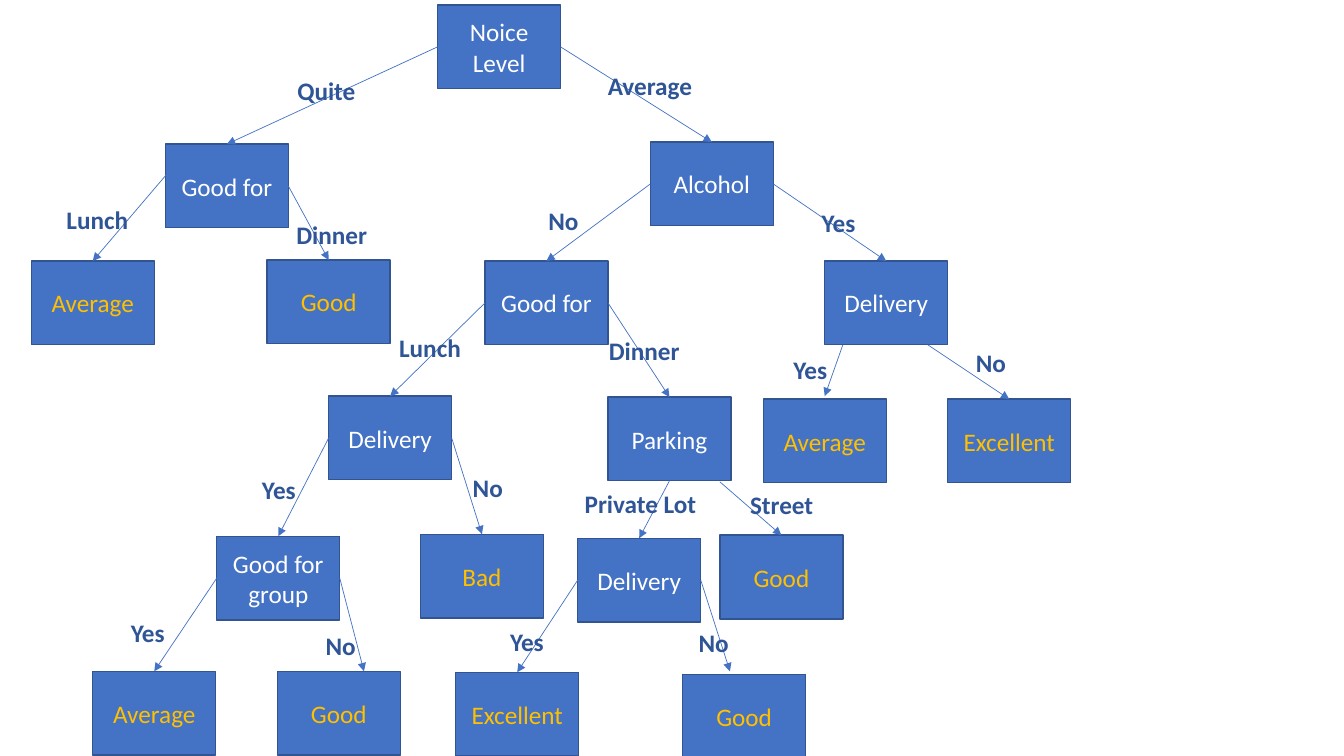
from dataclasses import dataclass
from typing import Optional

from lxml import etree
from pptx import Presentation
from pptx.dml.color import RGBColor
from pptx.enum.shapes import MSO_CONNECTOR, MSO_SHAPE
from pptx.enum.text import MSO_ANCHOR, MSO_AUTO_SIZE, PP_ALIGN
from pptx.oxml.ns import qn
from pptx.util import Inches, Pt

RECTANGLE = MSO_SHAPE.RECTANGLE
STRAIGHT = MSO_CONNECTOR.STRAIGHT
MIDDLE = MSO_ANCHOR.MIDDLE
CENTER = PP_ALIGN.CENTER
FIT_SHAPE = MSO_AUTO_SIZE.SHAPE_TO_FIT_TEXT

COLORS = {
    "box": "4472C4",
    "border": "325491",
    "question": "FFFFFF",
    "rating": "FFC000",
    "label": "2F5597",
}
FONT, FONT_SIZE = "Calibri", 18
BOX_WIDTH, BOX_HEIGHT = 1.22, 0.83
LABEL_HEIGHT = 0.4

# Connection sites of a rectangle
TOP, LEFT, BOTTOM, RIGHT = range(4)

# Key: (text, left, top)
NODES = {
    "noise": ("Noice Level", 4.34, 0.05),
    "quiet meal": ("Good for", 1.64, 1.43),
    "alcohol": ("Alcohol", 6.45, 1.41),
    "quiet lunch": ("Average", 0.31, 2.59),
    "quiet dinner": ("Good", 2.65, 2.58),
    "dry meal": ("Good for", 4.81, 2.59),
    "bar delivery": ("Delivery", 8.18, 2.59),
    "lunch delivery": ("Delivery", 3.26, 3.93),
    "parking": ("Parking", 6.03, 3.94),
    "bar delivered": ("Average", 7.57, 3.96),
    "bar on site": ("Excellent", 9.4, 3.96),
    "group": ("Good for group", 2.15, 5.32),
    "lunch on site": ("Bad", 4.17, 5.3),
    "lot delivery": ("Delivery", 5.73, 5.34),
    "street": ("Good", 7.14, 5.31),
    "lot delivered": ("Excellent", 4.52, 6.67),
    "lot on site": ("Good", 6.77, 6.69),
    "for group": ("Average", 0.92, 6.66),
    "not for group": ("Good", 2.75, 6.66),
}


@dataclass
class Branch:
    parent: str
    child: str
    site: int
    label: str
    left: float
    top: float
    width: float = 1.02
    start: Optional[tuple] = None  # free point instead of the parent's site
    end: Optional[tuple] = None  # free point instead of the child's top


BRANCHES = [
    Branch("noise", "quiet meal", LEFT, "Quite", 2.85, 0.7),
    Branch("noise", "alcohol", RIGHT, "Average", 5.93, 0.65, width=1.13),
    Branch("quiet meal", "quiet lunch", LEFT, "Lunch", 0.56, 1.98, start=(1.67, 1.71)),
    Branch("quiet meal", "quiet dinner", RIGHT, "Dinner", 2.84, 2.13),
    Branch("alcohol", "dry meal", LEFT, "No", 5.34, 1.99),
    Branch("alcohol", "bar delivery", RIGHT, "Yes", 8.05, 2.01),
    Branch("bar delivery", "bar on site", BOTTOM, "No", 9.58, 3.4, start=(9.2, 3.42)),
    Branch("bar delivery", "bar delivered", BOTTOM, "Yes", 7.77, 3.47,
           start=(8.36, 3.42), end=(8.18, 3.93)),
    Branch("dry meal", "lunch delivery", LEFT, "Lunch", 3.86, 3.25),
    Branch("dry meal", "parking", RIGHT, "Dinner", 5.94, 3.28),
    Branch("lunch delivery", "group", LEFT, "Yes", 2.5, 4.66),
    Branch("lunch delivery", "lunch on site", RIGHT, "No", 4.59, 4.64),
    Branch("parking", "street", BOTTOM, "Street", 7.34, 4.81, start=(7.14, 4.78)),
    Branch("parking", "lot delivery", BOTTOM, "Private Lot", 5.7, 4.8, width=1.32),
    Branch("lot delivery", "lot on site", RIGHT, "No", 6.83, 6.17, end=(7.24, 6.66)),
    Branch("lot delivery", "lot delivered", LEFT, "Yes", 4.96, 6.16),
    Branch("group", "for group", LEFT, "Yes", 1.2, 6.08),
    Branch("group", "not for group", RIGHT, "No", 3.13, 6.2, end=(3.61, 6.66)),
]


def color(name):
    return RGBColor.from_string(COLORS[name])


def write_text(shape, text, color_name, bold=False):
    frame = shape.text_frame
    frame.word_wrap = True
    paragraph = frame.paragraphs[0]
    paragraph.text = text
    font = paragraph.font
    font.name, font.size, font.bold = FONT, Pt(FONT_SIZE), bold
    font.color.rgb = color(color_name)
    return frame, paragraph


def add_node(slide, text, left, top, color_name):
    shape = slide.shapes.add_shape(
        RECTANGLE, Inches(left), Inches(top), Inches(BOX_WIDTH), Inches(BOX_HEIGHT))
    shape.shadow.inherit = False
    shape.fill.solid()
    shape.fill.fore_color.rgb = color("box")
    shape.line.color.rgb = color("border")
    shape.line.width = Pt(1)
    frame, paragraph = write_text(shape, text, color_name)
    frame.vertical_anchor = MIDDLE
    paragraph.alignment = CENTER
    return shape


def add_arrow(slide, branch, boxes):
    start = branch.start or (0, 0)
    end = branch.end or (0, 0)
    arrow = slide.shapes.add_connector(
        STRAIGHT, *(Inches(value) for value in (*start, *end)))
    if branch.start is None:
        arrow.begin_connect(boxes[branch.parent], branch.site)
    if branch.end is None:
        arrow.end_connect(boxes[branch.child], TOP)
    arrow.line.color.rgb = color("box")
    arrow.line.width = Pt(0.5)
    # Arrowhead and no shadow
    etree.SubElement(arrow.line._get_or_add_ln(), qn("a:tailEnd"), type="triangle")
    etree.SubElement(arrow._element.spPr, qn("a:effectLst"))


def add_label(slide, branch):
    box = slide.shapes.add_textbox(
        Inches(branch.left), Inches(branch.top), Inches(branch.width), Inches(LABEL_HEIGHT))
    frame, _ = write_text(box, branch.label, "label", bold=True)
    frame.auto_size = FIT_SHAPE


def main():
    presentation = Presentation()
    presentation.slide_width = Inches(13.33)
    presentation.slide_height = Inches(7.5)
    slide = presentation.slides.add_slide(presentation.slide_layouts[6])

    # Boxes: questions branch further, ratings end the tree
    questions = {branch.parent for branch in BRANCHES}
    boxes = {
        key: add_node(slide, *node, "question" if key in questions else "rating")
        for key, node in NODES.items()
    }

    # Arrows, then the answers on top of them
    for branch in BRANCHES:
        add_arrow(slide, branch, boxes)
    for branch in BRANCHES:
        add_label(slide, branch)

    presentation.save("out.pptx")


main()
